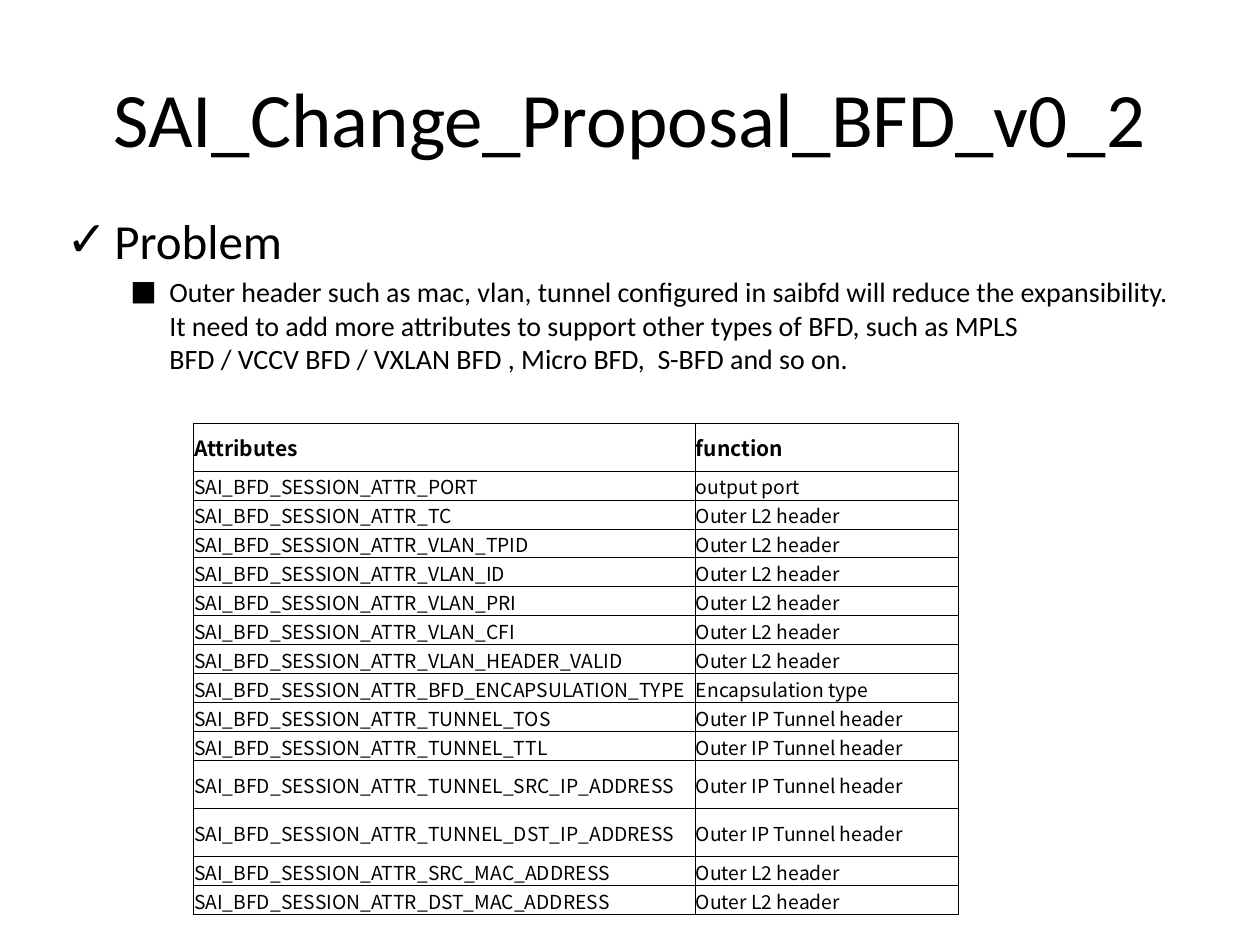
from dataclasses import dataclass

from lxml import etree
from pptx import Presentation
from pptx import util as u
from pptx.dml.color import RGBColor
from pptx.enum import text
from pptx.oxml.ns import qn

PX = u.Inches(1) // 126  # one px in EMU


@dataclass(frozen=True)
class Theme:
    ink: RGBColor = RGBColor(0, 0, 0)
    font: str = "Calibri"
    table_font: str = "Noto Sans CJK SC"
    title: int = 44
    heading: int = 28
    detail: int = 16
    table_head: int = 12
    table_body: int = 11
    rule: float = 0.5


THEME = Theme()

# The last sentence part stays together, so its spaces do not break
BFD_TYPES = "BFD / VCCV BFD / VXLAN BFD , Micro BFD,  S-BFD and so on.".replace(" ", chr(160))
PROBLEM = (
    "Outer header such as mac, vlan, tunnel configured in saibfd will reduce the "
    "expansibility. It need to add more attributes to support other types of BFD, "
    "such" + chr(160) + "as MPLS " + BFD_TYPES
)

PREFIX = "SAI_BFD_SESSION_ATTR_"
L2, TUNNEL = "Outer L2 header", "Outer IP Tunnel header"
ROW, TALL_ROW = 29, 48
ATTRIBUTES = [  # name, function, row height
    ("PORT", "output port", ROW),
    ("TC", L2, ROW),
    ("VLAN_TPID", L2, ROW),
    ("VLAN_ID", L2, ROW),
    ("VLAN_PRI", L2, ROW),
    ("VLAN_CFI", L2, ROW),
    ("VLAN_HEADER_VALID", L2, ROW),
    ("BFD_ENCAPSULATION_TYPE", "Encapsulation type", ROW),
    ("TUNNEL_TOS", TUNNEL, ROW),
    ("TUNNEL_TTL", TUNNEL, ROW),
    ("TUNNEL_SRC_IP_ADDRESS", TUNNEL, TALL_ROW),
    ("TUNNEL_DST_IP_ADDRESS", TUNNEL, TALL_ROW),
    ("SRC_MAC_ADDRESS", L2, ROW),
    ("DST_MAC_ADDRESS", L2, ROW),
]


def emu(*lengths):
    return [length * PX for length in lengths]


def add_run(paragraph, words, size, font=THEME.font, bold=False):
    run = paragraph.add_run()
    run.text = words
    run.font.name = font
    run.font.size = u.Pt(size)
    run.font.bold = bold
    run.font.color.rgb = THEME.ink


def set_bullet(paragraph, mark, margin, hanging):
    properties = paragraph._p.get_or_add_pPr()
    properties.set("marL", str(margin * PX))
    properties.set("indent", str(-hanging * PX))
    spacing = etree.SubElement(properties, qn("a:spcBef"))
    etree.SubElement(spacing, qn("a:spcPct"), val="20000")
    etree.SubElement(properties, qn("a:buFont"), typeface=THEME.font)
    etree.SubElement(properties, qn("a:buChar"), char=mark)


def set_borders(cell):
    properties = cell._tc.get_or_add_tcPr()
    for side in ("lnL", "lnR", "lnT", "lnB"):
        line = etree.SubElement(properties, qn(f"a:{side}"), w=str(u.Pt(THEME.rule)))
        fill = etree.SubElement(line, qn("a:solidFill"))
        etree.SubElement(fill, qn("a:srgbClr"), val=str(THEME.ink))


def place_title(slide, left, top, width, height):
    title = slide.shapes.title
    title.left, title.top, title.width, title.height = emu(left, top, width, height)
    frame = title.text_frame
    frame.vertical_anchor = text.MSO_ANCHOR.MIDDLE
    paragraph = frame.paragraphs[0]
    paragraph.alignment = text.PP_ALIGN.CENTER
    add_run(paragraph, "SAI_Change_Proposal_BFD_v0_2", THEME.title)


def place_problem(slide, left, top, width, height):
    frame = slide.shapes.add_textbox(*emu(left, top, width, height)).text_frame
    frame.word_wrap = True
    heading = frame.paragraphs[0]
    set_bullet(heading, "✓", 48, 48)
    add_run(heading, "Problem", THEME.heading)
    detail = frame.add_paragraph()
    detail.level = 1
    set_bullet(detail, "■", 103, 39)
    add_run(detail, PROBLEM, THEME.detail)


def fill_cell(cell, words, size, bold):
    cell.margin_left = cell.margin_top = cell.margin_right = PX
    cell.margin_bottom = 0
    cell.vertical_anchor = text.MSO_ANCHOR.MIDDLE
    set_borders(cell)
    cell.fill.background()
    add_run(cell.text_frame.paragraphs[0], words, size, THEME.table_font, bold)


def place_attributes(slide, left, top, width):
    rows = [("Attributes", "function", TALL_ROW)]
    rows += [(PREFIX + name, function, tall) for name, function, tall in ATTRIBUTES]
    height = sum(row[-1] for row in rows)
    frame = slide.shapes.add_table(len(rows), 2, *emu(left, top, width, height))
    table = frame.table
    table.first_row = table.horz_banding = False
    name_width = 502
    table.columns[0].width, table.columns[1].width = emu(name_width, width - name_width)
    for index, (*words, row_height) in enumerate(rows):
        is_head = index == 0
        size = THEME.table_head if is_head else THEME.table_body
        table.rows[index].height = row_height * PX
        for column, entry in enumerate(words):
            fill_cell(table.cell(index, column), entry, size, is_head)


def main():
    presentation = Presentation()
    presentation.slide_width, presentation.slide_height = emu(1260, 945)
    slide = presentation.slides.add_slide(presentation.slide_layouts[5])  # title only
    place_title(slide, 63, 38, 1134, 158)
    place_problem(slide, 54, 204, 1134, 624)
    place_attributes(slide, 193, 423, 765)
    presentation.save("out.pptx")


if __name__ == "__main__":
    main()
